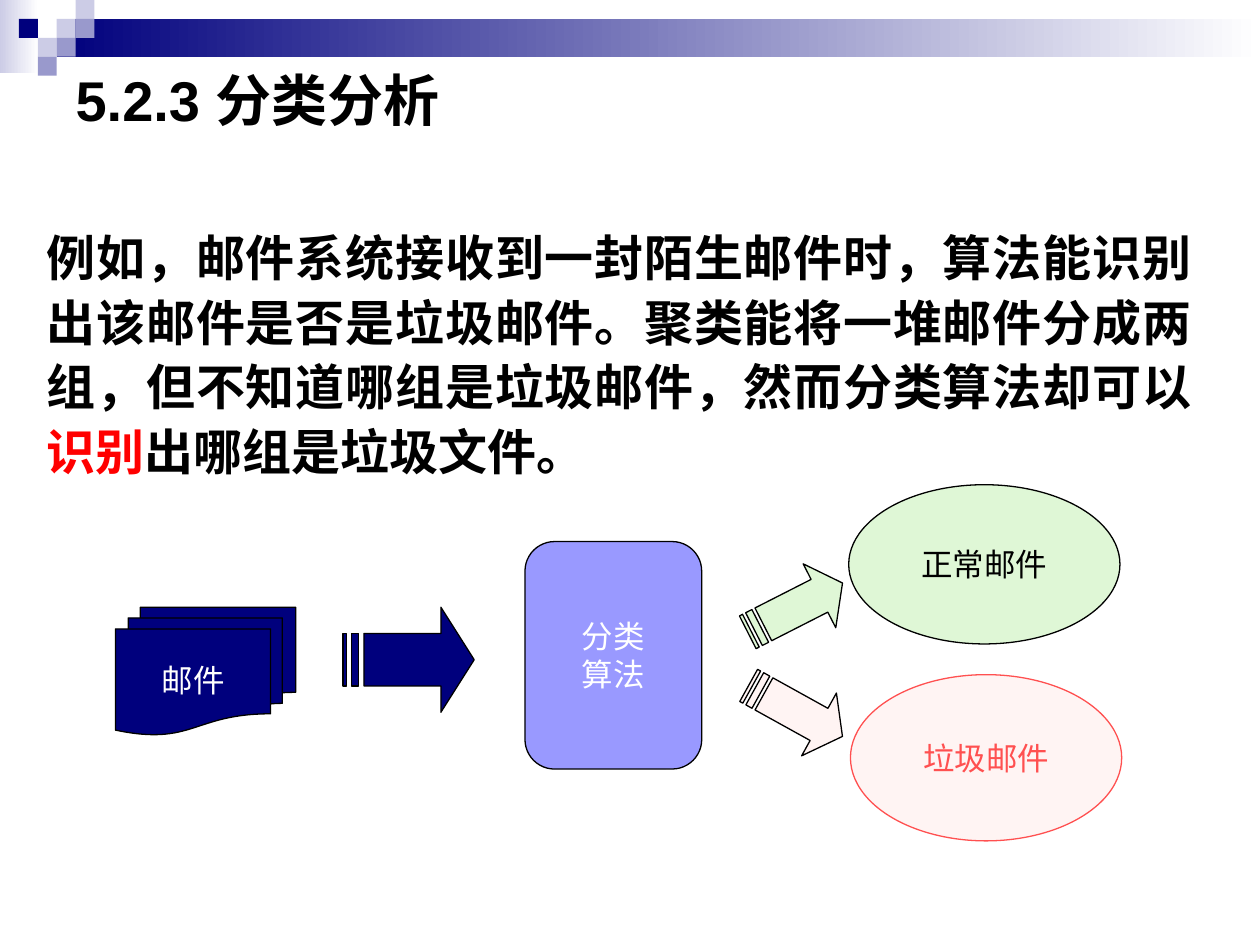
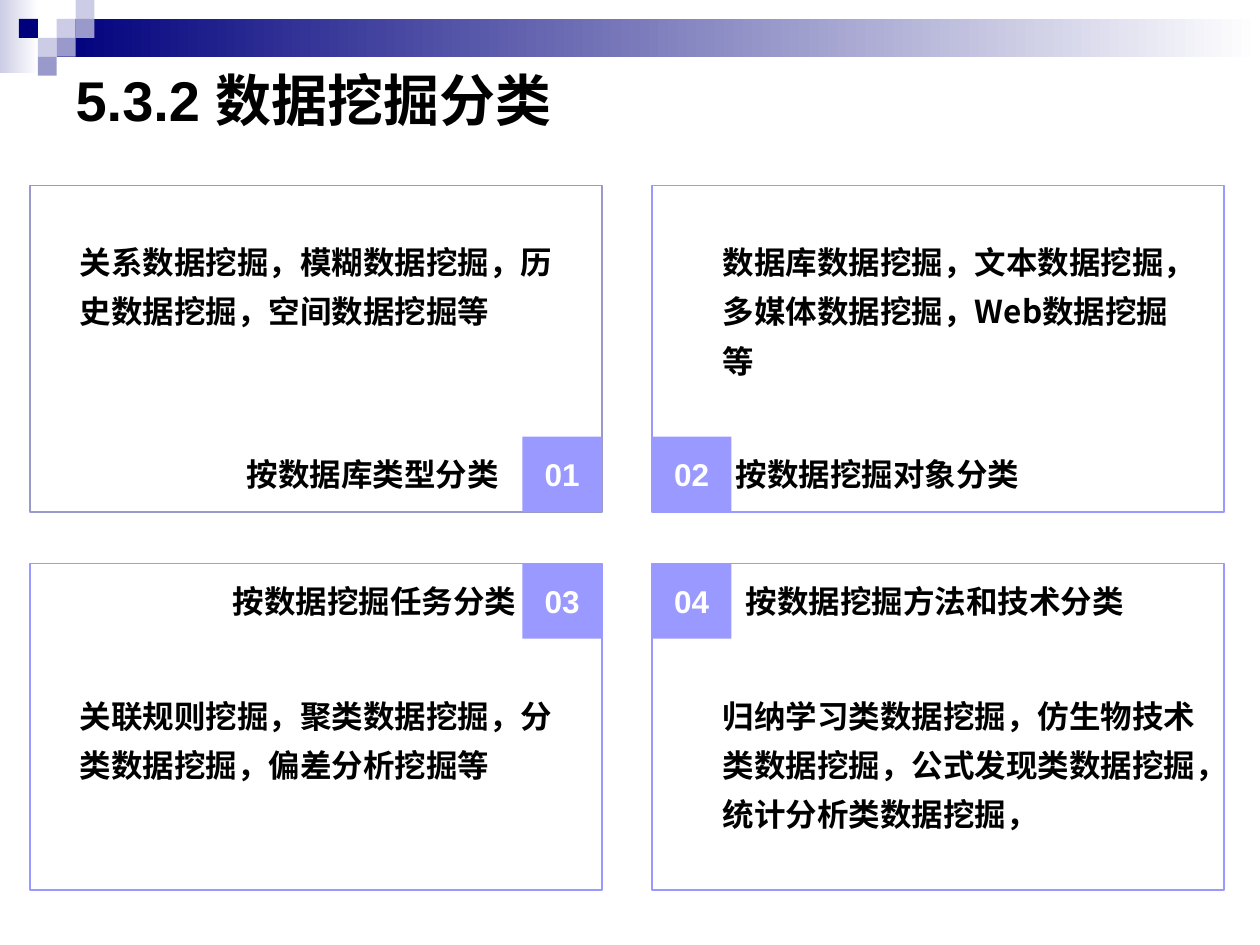
import dataclasses

import lxml.etree
import pptx
import pptx.dml.color
import pptx.enum.shapes
import pptx.enum.text
import pptx.oxml.ns
import pptx.util

Pt = pptx.util.Pt
SHAPES = pptx.enum.shapes.MSO_SHAPE
ALIGN = pptx.enum.text.PP_ALIGN
ANCHOR = pptx.enum.text.MSO_ANCHOR


@dataclasses.dataclass(frozen=True)
class Theme:
    latin: str = "Arial"
    chinese: str = "Noto Sans CJK SC"
    title_size: int = 32
    body_size: int = 28
    label_size: int = 18
    line_height: float = 1.2
    navy: str = "00007D"
    violet: str = "9999FF"
    slate: str = "9999CC"
    mist: str = "CCCCE6"
    green: str = "DFF7D6"
    blush: str = "FFF4F3"
    coral: str = "FF5050"
    red: str = "FF0000"
    black: str = "000000"
    white: str = "FFFFFF"


THEME = Theme()
SLIDE_SIZE = (720, 540)
TITLE_BOX = (36, 36, 648, 41)
BAND_SQUARE = 10.8


def rgb(color):
    return pptx.dml.color.RGBColor.from_string(color)


def points(box):
    return [Pt(length) for length in box]


def place(shape, box):
    shape.left, shape.top, shape.width, shape.height = points(box)


def style_runs(paragraph, size, color, font=THEME.latin, bold=False):
    for run in paragraph.runs:
        run.font.name = font
        run.font.size = Pt(size)
        run.font.bold = bold
        run.font.color.rgb = rgb(color)
        east_asian = lxml.etree.SubElement(
            run.font.latin_element if hasattr(run.font, "latin_element") else run._r.get_or_add_rPr(),
            pptx.oxml.ns.qn("a:ea"),
        )
        east_asian.set("typeface", THEME.chinese)


def style_text(frame, size, color, align, font=THEME.latin, bold=False, spacing=1):
    frame.auto_size = pptx.enum.text.MSO_AUTO_SIZE.NONE
    for paragraph in frame.paragraphs:
        paragraph.alignment = align
        paragraph.line_spacing = Pt(round(size * THEME.line_height * spacing, 2))
        paragraph.space_before = Pt(0)
        style_runs(paragraph, size, color, font, bold)


def paint(shape, fill=None, line=None, width=0.75):
    shape.shadow.inherit = False
    if fill:
        shape.fill.solid()
        shape.fill.fore_color.rgb = rgb(fill)
    else:
        shape.fill.background()
    if line:
        shape.line.color.rgb = rgb(line)
        shape.line.width = Pt(width)
    else:
        shape.line.fill.background()
    return shape


def add_block(slide, kind, box, fill=None, line=None, width=0.75):
    return paint(slide.shapes.add_shape(kind, *points(box)), fill, line, width)


def add_node(slide, kind, box, text, fill, color, line=None, bold=False):
    node = add_block(slide, kind, box, fill, line)
    frame = node.text_frame
    frame.text = text
    frame.word_wrap = False
    frame.vertical_anchor = ANCHOR.MIDDLE
    style_text(frame, THEME.label_size, color, ALIGN.CENTER, bold=bold)
    return node


def add_caption(slide, box, text, align, spacing=1, wrap=True):
    frame = slide.shapes.add_textbox(*points(box)).text_frame
    frame.text = text
    frame.word_wrap = wrap
    style_text(frame, THEME.label_size, THEME.black, align, THEME.chinese, True, spacing)


def move_band_to_master(slide, master):
    band = []
    for box, start in (
        ((0, 0, 22, 42), THEME.mist),
        ((32.4, BAND_SQUARE, 687.6, 21.6), THEME.navy),
    ):
        fade = add_block(slide, SHAPES.RECTANGLE, box, start)
        fade.fill.gradient()
        fade.fill.gradient_angle = 0
        for stop, color in zip(fade.fill.gradient_stops, (start, THEME.white)):
            stop.color.rgb = rgb(color)
        band.append(fade)
    for column, row, color in (
        (3, 1, THEME.mist),
        (4, 0, THEME.mist),
        (4, 1, THEME.slate),
        (2, 2, THEME.mist),
        (1, 1, THEME.navy),
        (3, 2, THEME.slate),
        (2, 3, THEME.slate),
    ):
        box = (column * BAND_SQUARE, row * BAND_SQUARE, BAND_SQUARE, BAND_SQUARE)
        band.append(add_block(slide, SHAPES.RECTANGLE, box, color))
    for order, piece in enumerate(band):
        piece.element.nvSpPr.cNvPr.id = 100 + order
        master.shapes.element.insert(2 + order, piece.element)


def add_titled_slide(deck, layout_name, title):
    slide = deck.slides.add_slide(deck.slide_layouts.get_by_name(layout_name))
    heading = slide.shapes.title
    place(heading, TITLE_BOX)
    heading.text_frame.text = title
    heading.text_frame.vertical_anchor = ANCHOR.MIDDLE
    style_text(heading.text_frame, THEME.title_size, THEME.black, ALIGN.LEFT, bold=True)
    heading.text_frame.paragraphs[0].line_spacing = 1.0
    return slide


def fill_example(slide, box, before, keyword, after):
    body = slide.placeholders[1]
    place(body, box)
    paragraph = body.text_frame.paragraphs[0]
    for part in (before, keyword, after):
        paragraph.add_run().text = part
    style_text(body.text_frame, THEME.body_size, THEME.black, ALIGN.JUSTIFY, THEME.chinese, True, 1.1)
    paragraph.runs[1].font.color.rgb = rgb(THEME.red)
    properties = paragraph._p.get_or_add_pPr()
    properties.set("marL", "0")
    properties.set("indent", "0")
    lxml.etree.SubElement(properties, pptx.oxml.ns.qn("a:buNone"))


def add_striped_arrow(slide, box, fill, rotation=0):
    left, top, width, height = box
    head, upper, lower = 0.75 * width, 0.25 * height, 0.75 * height
    outline = slide.shapes.build_freeform(head, 0, scale=Pt(1))
    outline.add_line_segments([
        (head, upper), (width * 5 / 32, upper), (width * 5 / 32, lower),
        (head, lower), (head, height), (width, height / 2),
    ])
    for start, end in ((2, 4), (0, 1)):
        near, far = width * start / 32, width * end / 32
        outline.move_to(near, upper)
        outline.add_line_segments([(near, lower), (far, lower), (far, upper)])
    arrow = outline.convert_to_shape(Pt(left), Pt(top))
    paint(arrow, fill, THEME.black)
    arrow.rotation = rotation


def add_mail_flow(slide, box):
    left, top = box[:2]

    def within(x, y, width, height):
        return left + x, top + y, width, height

    classifier = add_node(slide, SHAPES.ROUNDED_RECTANGLE, within(234, 32.5, 101, 130),
                          "分类\n算法", THEME.violet, THEME.white, THEME.black)
    classifier.adjustments[0] = 0.167
    add_node(slide, SHAPES.FLOWCHART_MULTIDOCUMENT, within(0, 70, 103, 73),
             "邮件", THEME.navy, THEME.white, THEME.black)
    add_striped_arrow(slide, within(130, 70, 75, 60), THEME.navy)
    add_striped_arrow(slide, within(358, 50, 61, 41), THEME.green, 333)
    add_striped_arrow(slide, within(358, 109, 61, 41), THEME.blush, 29)
    add_node(slide, SHAPES.OVAL, within(419, 0, 155, 91),
             "正常邮件", THEME.green, THEME.black, THEME.black)
    add_node(slide, SHAPES.OVAL, within(420, 108.5, 155, 95),
             "垃圾邮件", THEME.blush, THEME.coral, THEME.coral)


def add_category_card(slide, box, number, label, label_center, examples, border):
    left, top, width, height = box
    column, row = (number - 1) % 2, (number - 1) // 2
    badge_width, badge_height, label_width = 45.5, 43, 240
    badge_left = left if column else left + width - badge_width
    badge_top = top if row else top + height - badge_height
    add_block(slide, SHAPES.RECTANGLE, box, line=border, width=1)
    add_caption(slide, (left + label_center - label_width / 2, badge_top + 7, label_width, 29),
                label, ALIGN.CENTER, wrap=False)
    add_node(slide, SHAPES.RECTANGLE, (badge_left, badge_top, badge_width, badge_height),
             f"{number:02}", THEME.violet, THEME.white, bold=True)
    examples_left = left + (33.5 if column else 21.5)
    examples_top = top + (66 if row else 23)
    add_caption(slide, (examples_left, examples_top, 286, 89), examples, ALIGN.LEFT, 1.3)


def add_category_grid(slide, box):
    left, top, width, height = box
    card_width, card_height = 327, 186.5
    cards = (
        ("按数据库类型分类", 196, "关系数据挖掘，模糊数据挖掘，历史数据挖掘，空间数据挖掘等", THEME.slate),
        ("按数据挖掘对象分类", 129, "数据库数据挖掘，文本数据挖掘，多媒体数据挖掘，Web数据挖掘等", THEME.violet),
        ("按数据挖掘任务分类", 197, "关联规则挖掘，聚类数据挖掘，分类数据挖掘，偏差分析挖掘等", THEME.violet),
        ("按数据挖掘方法和技术分类", 161.5,
         "归纳学习类数据挖掘，仿生物技术类数据挖掘，公式发现类数据挖掘，统计分析类数据挖掘，", THEME.violet),
    )
    for index, card in enumerate(cards):
        row, column = divmod(index, 2)
        card_box = (left + column * (width - card_width),
                    top + row * (height - card_height), card_width, card_height)
        add_category_card(slide, card_box, index + 1, *card)


def main():
    deck = pptx.Presentation()
    deck.slide_width, deck.slide_height = points(SLIDE_SIZE)

    example = add_titled_slide(deck, "Title and Content", "5.2.3 分类分析")
    move_band_to_master(example, deck.slide_master)
    fill_example(
        example, (19.5, 123, 669, 148),
        "例如，邮件系统接收到一封陌生邮件时，算法能识别出该邮件是否是垃圾邮件。"
        "聚类能将一堆邮件分成两组，但不知道哪组是垃圾邮件，然而分类算法却可以",
        "识别", "出哪组是垃圾文件。",
    )
    add_mail_flow(example, (66, 277, 575, 204))

    categories = add_titled_slide(deck, "Title Only", "5.3.2 数据挖掘分类")
    add_category_grid(categories, (17, 106, 682.5, 402.5))

    deck.save("out.pptx")


if __name__ == "__main__":
    main()
